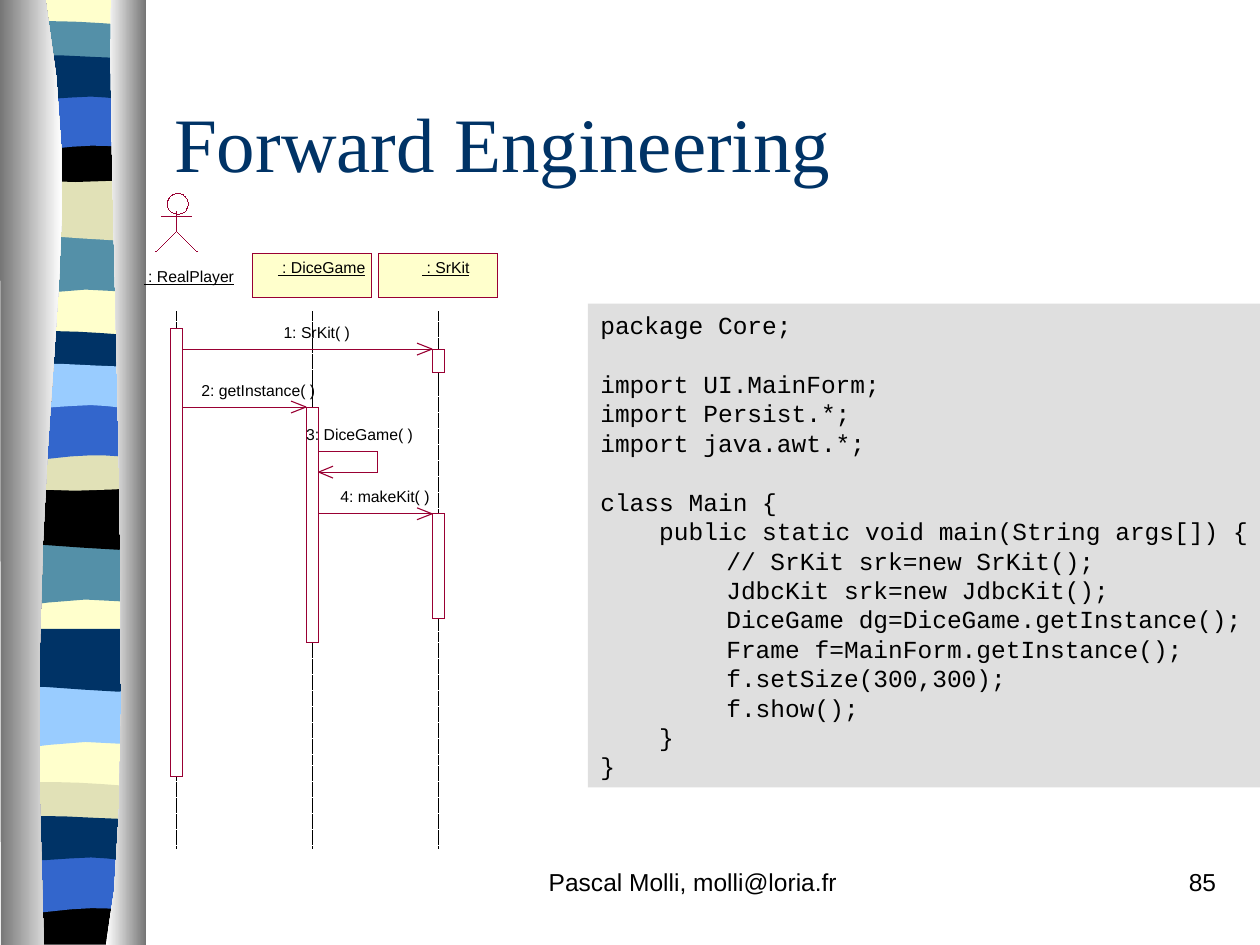
from typing import NamedTuple

import pptx
import pptx.dml.color
import pptx.enum.dml
import pptx.enum.shapes
import pptx.enum.text
import pptx.oxml.ns
import pptx.util
from lxml import etree

Pt = pptx.util.Pt
RGBColor = pptx.dml.color.RGBColor
Align = pptx.enum.text.PP_ALIGN
Anchor = pptx.enum.text.MSO_ANCHOR
Shape = pptx.enum.shapes.MSO_SHAPE
qn = pptx.oxml.ns.qn

CREAM = RGBColor(0xFF, 0xFF, 0xCC)
TEAL = RGBColor(0x54, 0x90, 0xA8)
SAND = RGBColor(0xE1, 0xE1, 0xB7)
BLUE = RGBColor(0x33, 0x66, 0xCC)
NAVY = RGBColor(0x00, 0x33, 0x66)
SKY = RGBColor(0x99, 0xCC, 0xFF)
BLACK = RGBColor(0, 0, 0)
WHITE = RGBColor(0xFF, 0xFF, 0xFF)
GRAY = RGBColor(0x76, 0x76, 0x76)
SILVER = RGBColor(0xC0, 0xC0, 0xC0)
MAROON = RGBColor(0x99, 0x00, 0x33)
HAIR = 0.01

# Outlines start at the first point; two numbers make a line, six a Bézier curve.
SHEET = [(78, 0), (78, 538), (0, 538), (0, 0)]
WAVE = [(78, 0), (78, 34), (24, 28, 13, 40, 0, 34), (0, 0)]
SWELL = [(78, 0), (78, 34), (65, 40, 24, 30, 0, 34), (0, 0)]
THIN = [(78, 0), (78, 17), (65, 20, 13, 20, 0, 17), (0, 0),
        (4, -4, 17, -3, 30, -3), (42, -3, 68, -1, 78, 0)]
BOWL = [(78, 0), (78, 23), (65, 27, 13, 27, 0, 23), (0, 0), (48, 4, 61, 0, 78, 0)]
ARCH = [(78, 0), (78, 34), (66, 30, 60, 30, 48, 30), (35, 30, 12, 34, 0, 34), (0, 0)]
RIPPLE = [(78, 0), (78, 22), (73, 26, 60, 22, 48, 22), (35, 22, 8, 26, 0, 22),
          (0, 0), (11, -4, 53, 0, 66, 0), (78, 0)]
FOOT = [(78, 0), (78, 27), (0, 27), (0, 0), (48, 4, 61, 0, 78, 0)]
LEFT_RIM = [(26, 0), (53, 156, 12, 213, 25, 540), (0.5, 540), (0, 0)]
RIGHT_RIM = [(63.5, 0), (60.5, 90, 80, 465, 60.5, 540), (83.5, 540), (83.5, 0)]


class Band(NamedTuple):
    outline: list
    top: float
    color: RGBColor


class Label(NamedTuple):
    text: str
    center: float
    top: float
    width: float


class Participant(NamedTuple):
    label: Label
    x: float
    bars: list  # (top, height)
    boxed: bool = True


class Message(NamedTuple):
    label: Label
    x1: float
    x2: float
    y: float


BANDS = [
    Band(SHEET, 0, CREAM),
    Band(WAVE, 133.2, TEAL), Band(SWELL, 101.5, SAND), Band(THIN, 15.2, TEAL),
    Band(BOWL, 78, BLACK), Band(ARCH, 53.3, BLUE), Band(RIPPLE, 33.2, NAVY),
    Band(WAVE, 310.3, TEAL), Band(SWELL, 278.2, BLACK), Band(THIN, 192.3, NAVY),
    Band(BOWL, 254.4, SAND), Band(ARCH, 230.2, BLUE), Band(RIPPLE, 209.5, SKY),
    Band(WAVE, 391.7, SKY), Band(SWELL, 359.3, NAVY), Band(THIN, 450, SAND),
    Band(FOOT, 512.8, BLACK), Band(ARCH, 489, BLUE), Band(RIPPLE, 468, NAVY),
]
PLAYER_X, DICE_X, KIT_X = 100.8, 178.5, 250.5
HALF_BAR = 3.6
PARTICIPANTS = [
    Participant(Label(" : RealPlayer", 108, 152.6, 52), PLAYER_X, [(188, 255.5)], boxed=False),
    Participant(Label(" : SrKit", 254.8, 147.4, 27), KIT_X, [(199.5, 13.5), (293.6, 60)]),
    Participant(Label(" : DiceGame", 183.8, 147.4, 50), DICE_X, [(232.6, 134.6)]),
]
MESSAGES = [
    Message(Label("2: getInstance( )", 147.6, 217.4, 65), PLAYER_X, DICE_X, 232.6),
    Message(Label("1: SrKit( )", 181, 184.3, 38), PLAYER_X, KIT_X, 199.5),
    Message(Label("4: makeKit( )", 220, 278, 51), DICE_X, KIT_X, 293.6),
]
SELF_LABEL = Label("3: DiceGame( )", 205.5, 242.6, 61)
CODE = """package Core;

import UI.MainForm;
import Persist.*;
import java.awt.*;

class Main {
    public static void main(String args[]) {
\t// SrKit srk=new SrKit();
\tJdbcKit srk=new JdbcKit();
\tDiceGame dg=DiceGame.getInstance();
\tFrame f=MainForm.getInstance();
\tf.setSize(300,300);
\tf.show();
    }
}"""


def outline_shape(shapes, outline: list, x: float = 0, y: float = 0, closed: bool = True,
                  steps: int = 4):
    """Build a freeform in points, with each curve flattened into a few segments."""
    points = [outline[0]]
    for step in outline[1:]:
        if len(step) == 2:
            points.append(step)
            continue
        knots = [points[-1], step[:2], step[2:4], step[4:]]
        for i in range(1, steps + 1):
            t = i / steps
            weights = ((1 - t) ** 3, 3 * t * (1 - t) ** 2, 3 * t * t * (1 - t), t ** 3)
            points.append(tuple(sum(w * k[a] for w, k in zip(weights, knots)) for a in (0, 1)))
    points = [(Pt(x + px), Pt(y + py)) for px, py in points]
    fb = shapes.build_freeform(*points[0], scale=1.0)
    fb.add_line_segments(points[1:], close=closed)
    sp = fb.convert_to_shape()
    sp.shadow.inherit = False
    sp.line.fill.background()
    return sp


def rim(shapes, outline: list, left: RGBColor, right: RGBColor) -> None:
    fill = outline_shape(shapes, outline, steps=10).fill
    fill.gradient()
    fill.gradient_angle = 0
    for stop, color in zip(fill.gradient_stops, (left, right)):
        stop.color.rgb = color


def hairline(sp) -> None:
    sp.line.color.rgb = MAROON
    sp.line.width = Pt(HAIR)


def box(s, x: float, y: float, w: float, h: float, fill=None, kind=Shape.RECTANGLE):
    sp = s.shapes.add_shape(kind, Pt(x), Pt(y), Pt(w), Pt(h))
    sp.shadow.inherit = False
    if fill is None:
        sp.fill.background()
    else:
        sp.fill.solid()
        sp.fill.fore_color.rgb = fill
    hairline(sp)
    return sp


def line(s, x1: float, y1: float, x2: float, y2: float, color=MAROON, width: float = HAIR):
    cn = s.shapes.add_connector(pptx.enum.shapes.MSO_CONNECTOR.STRAIGHT,
                                Pt(x1), Pt(y1), Pt(x2), Pt(y2))
    cn.line.color.rgb = color
    cn.line.width = Pt(width)
    etree.SubElement(cn._element.spPr, qn("a:effectLst"))
    return cn


def arrowhead(s, x: float, y: float, back: float) -> None:
    for dy in (3.4, -3.4):
        line(s, x, y, x + back, y + dy, width=0.62)


def write(sp, text: str, *, size: float, font: str = "Arial", color=BLACK, align=Align.LEFT,
          anchor=Anchor.TOP, underline=None, inset: tuple = (7.2, 3.6), wrap: bool = True,
          pitch=None, tab=None) -> None:
    """Fill a shape with text; an empty line becomes space before the next one."""
    tf = sp.text_frame
    tf.word_wrap = wrap
    if not wrap:
        tf.auto_size = pptx.enum.text.MSO_AUTO_SIZE.SHAPE_TO_FIT_TEXT
    tf.vertical_anchor = anchor
    tf.margin_left = tf.margin_right = Pt(inset[0])
    tf.margin_top = tf.margin_bottom = Pt(inset[1])
    p, gap = tf.paragraphs[0], False
    for i, row in enumerate(text.split("\n")):
        if not row:
            gap = True
            continue
        if i:
            p = tf.add_paragraph()
        p.alignment = align
        if pitch:
            p.line_spacing = Pt(pitch)
        if gap:
            p.space_before, gap = Pt(pitch or size), False
        if tab:
            tabs = etree.SubElement(p._p.get_or_add_pPr(), qn("a:tabLst"))
            etree.SubElement(tabs, qn("a:tab"), pos=str(Pt(tab)), algn="l")
        r = p.add_run()
        r.text = row
        r.font.name, r.font.size, r.font.underline = font, Pt(size), underline
        r.font.color.rgb = color


def text_box(s, x: float, y: float, w: float, h: float, text: str, **fmt) -> None:
    write(s.shapes.add_textbox(Pt(x), Pt(y), Pt(w), Pt(h)), text, **fmt)


def draw_label(s, lb: Label, underline=None) -> None:
    text_box(s, lb.center - lb.width / 2, lb.top, lb.width, 10.8, lb.text, size=9,
             align=Align.CENTER, underline=underline, inset=(0, 0), wrap=False)


def open_outline(s, points: list) -> None:
    sp = outline_shape(s.shapes, points, closed=False)
    sp.fill.background()
    hairline(sp)


def actor(s, x: float) -> None:
    box(s, x - 5.2, 110.4, 12, 12, kind=Shape.OVAL)
    line(s, x, 121, x, 132)
    line(s, x - 8.6, 124, x + 8.6, 124)
    open_outline(s, [(x - 12, 144), (x, 132), (x + 12, 144)])


def participant(s, who: Participant) -> None:
    if who.boxed:
        box(s, who.x - 34, 144.8, 68, 25, CREAM)
    draw_label(s, who.label, underline=True)
    cn = line(s, who.x, 178, who.x, 484.6, BLACK)
    cn.line.dash_style = pptx.enum.dml.MSO_LINE.SQUARE_DOT
    for top, height in who.bars:
        box(s, who.x - HALF_BAR, top, 2 * HALF_BAR, height, WHITE)


def message(s, m: Message) -> None:
    end = m.x2 - HALF_BAR
    line(s, m.x1 + HALF_BAR, m.y, end, m.y)
    arrowhead(s, end, m.y, -8.6)
    draw_label(s, m.label)


def self_call(s, x: float, y: float) -> None:
    start = x + HALF_BAR
    open_outline(s, [(start, y), (216, y), (216, y + 12), (start, y + 12)])
    arrowhead(s, start, y + 12, 8.2)
    draw_label(s, SELF_LABEL)


def main() -> None:
    prs = pptx.Presentation()
    prs.slide_width, prs.slide_height = Pt(720), Pt(540)
    s = prs.slides.add_slide(prs.slide_layouts[6])

    ribbon = s.shapes.add_group_shape().shapes
    for band in BANDS:
        sp = outline_shape(ribbon, band.outline, 4, band.top)
        sp.fill.solid()
        sp.fill.fore_color.rgb = band.color
    rim(ribbon, LEFT_RIM, GRAY, WHITE)
    rim(ribbon, RIGHT_RIM, WHITE, GRAY)

    text_box(s, 92.4, 36, 612, 90, "Forward Engineering", size=44, font="Times New Roman",
             color=NAVY, anchor=Anchor.MIDDLE)
    actor(s, PLAYER_X)
    for who in PARTICIPANTS:
        participant(s, who)
    for m in MESSAGES:
        message(s, m)
    self_call(s, DICE_X, 257.8)

    sp = box(s, 336, 173.5, 385, 276.5, SILVER)
    sp.line.fill.background()
    rgb = sp._element.spPr.find(qn("a:solidFill")).find(qn("a:srgbClr"))
    etree.SubElement(rgb, qn("a:alpha"), val="50000")
    write(sp, CODE, size=14, font="Courier New", anchor=Anchor.MIDDLE, wrap=False,
          pitch=16.8, tab=72)

    text_box(s, 282, 492, 228, 36, "Pascal Molli, molli@loria.fr", size=14, align=Align.CENTER)
    text_box(s, 552, 492, 150, 36, "85", size=14, align=Align.RIGHT)
    prs.save("out.pptx")


if __name__ == "__main__":
    main()
